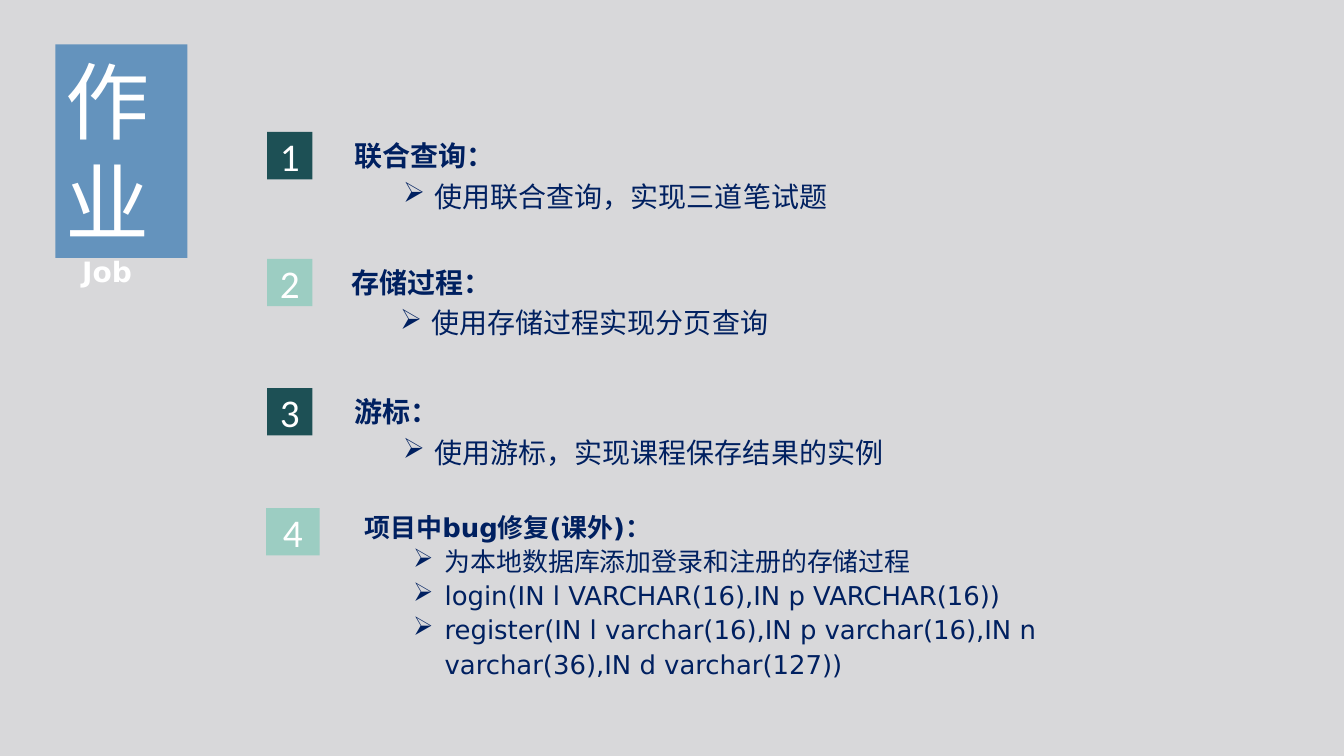
import pptx
import pptx.util
import pptx.dml.color
import pptx.enum.shapes
import pptx.enum.text
from dataclasses import dataclass
from lxml import etree

Pt = pptx.util.Pt
Align = pptx.enum.text.PP_ALIGN
Anchor = pptx.enum.text.MSO_ANCHOR


@dataclass(frozen=True)
class Theme:
    back: str = "D8D8DA"
    blue: str = "3477B2"
    dark: str = "1D5055"
    mint: str = "9CCDC2"
    navy: str = "002060"
    white: str = "FFFFFF"
    head: str = "Noto Sans CJK SC"
    body: str = "DejaVu Sans"
    digit: str = "Calibri"
    title: float = 60
    mark: float = 28
    text: float = 20
    small: float = 18.5


theme = Theme()

TASKS = [
    (190.8, 94.3, 32.4, 62.6, 475, 73, theme.text, 1.2,
     ["联合查询：", "使用联合查询，实现三道笔试题"]),
    (190.8, 185, 32.4, 60.5, 467, 83, theme.text, 1.2,
     ["存储过程：", "使用存储过程实现分页查询"]),
    (190.8, 277.2, 32.4, 62.6, 476, 95, theme.text, 1.2,
     ["游标：", "使用游标，实现课程保存结果的实例"]),
    (190.1, 363, 38.2, 70.5, 542, 134, theme.small, 1.1,
     ["项目中bug修复(课外)：", "为本地数据库添加登录和注册的存储过程",
      "login(IN l VARCHAR(16),IN p VARCHAR(16))",
      "register(IN l varchar(16),IN p varchar(16),IN n varchar(36),IN d varchar(127))"]),
]


def rgb(code):
    return pptx.dml.color.RGBColor.from_string(code)


def style(para, name, size, color, bold=False):
    font = para.font
    font.name, font.size, font.bold = name, Pt(size), bold
    font.color.rgb = rgb(color)


def block(slide, left, top, width, height, color):
    kind = pptx.enum.shapes.MSO_SHAPE.RECTANGLE
    shape = slide.shapes.add_shape(kind, Pt(left), Pt(top), Pt(width), Pt(height))
    shape.shadow.inherit = False
    shape.fill.solid()
    shape.fill.fore_color.rgb = rgb(color)
    shape.line.fill.background()
    return shape


def label(slide, left, top, width, height):
    box = slide.shapes.add_textbox(Pt(left), Pt(top), Pt(width), Pt(height))
    box.text_frame.word_wrap = True
    return box.text_frame


def bullet(para):
    props = para._p.get_or_add_pPr()
    props.set("marL", str(Pt(57)))
    props.set("indent", str(-Pt(22.5)))
    mark = etree.SubElement(props, pptx.oxml.ns.qn("a:buChar"))
    mark.set("char", "➢")


def banner(slide, left, top, width, height):
    shape = block(slide, left, top, width, height, theme.blue)
    tint = shape.fill._xPr.find(".//" + pptx.oxml.ns.qn("a:srgbClr"))
    etree.SubElement(tint, pptx.oxml.ns.qn("a:alpha")).set("val", "70000")
    frame = shape.text_frame
    frame.vertical_anchor = Anchor.TOP
    para = frame.paragraphs[0]
    para.text = "作业"
    para.alignment = Align.LEFT
    style(para, theme.head, theme.title, theme.white)

    frame = label(slide, left - 7.2, top + height - 5.8, 131, 31.7)
    frame.margin_left = Pt(26.3)
    para = frame.paragraphs[0]
    para.text = "Job"
    style(para, theme.body, theme.text, theme.white, True)


def task(slide, num, left, top, side, gap, width, height, size, space, lines):
    color = theme.dark if num % 2 else theme.mint
    frame = block(slide, left, top, side, 33.8, color).text_frame
    frame.vertical_anchor = Anchor.MIDDLE
    para = frame.paragraphs[0]
    para.text = str(num)
    para.alignment = Align.CENTER
    style(para, theme.digit, theme.mark, theme.white)

    frame = label(slide, left + gap, top, width, height)
    frame.margin_left = frame.margin_right = 0
    frame.margin_top = frame.margin_bottom = 0
    for row, line in enumerate(lines):
        para = frame.add_paragraph() if row else frame.paragraphs[0]
        para.text = line
        para.line_spacing = space
        if row:
            bullet(para)
        style(para, theme.body, size, theme.navy, row == 0)


def main():
    deck = pptx.Presentation()
    deck.slide_width, deck.slide_height = Pt(960), Pt(540)
    slide = deck.slides.add_slide(deck.slide_layouts[6])
    fill = slide.background.fill
    fill.solid()
    fill.fore_color.rgb = rgb(theme.back)
    banner(slide, 39.6, 31.7, 94.3, 152.6)
    for num, item in enumerate(TASKS, 1):
        task(slide, num, *item)
    deck.save("out.pptx")


if __name__ == "__main__":
    main()
